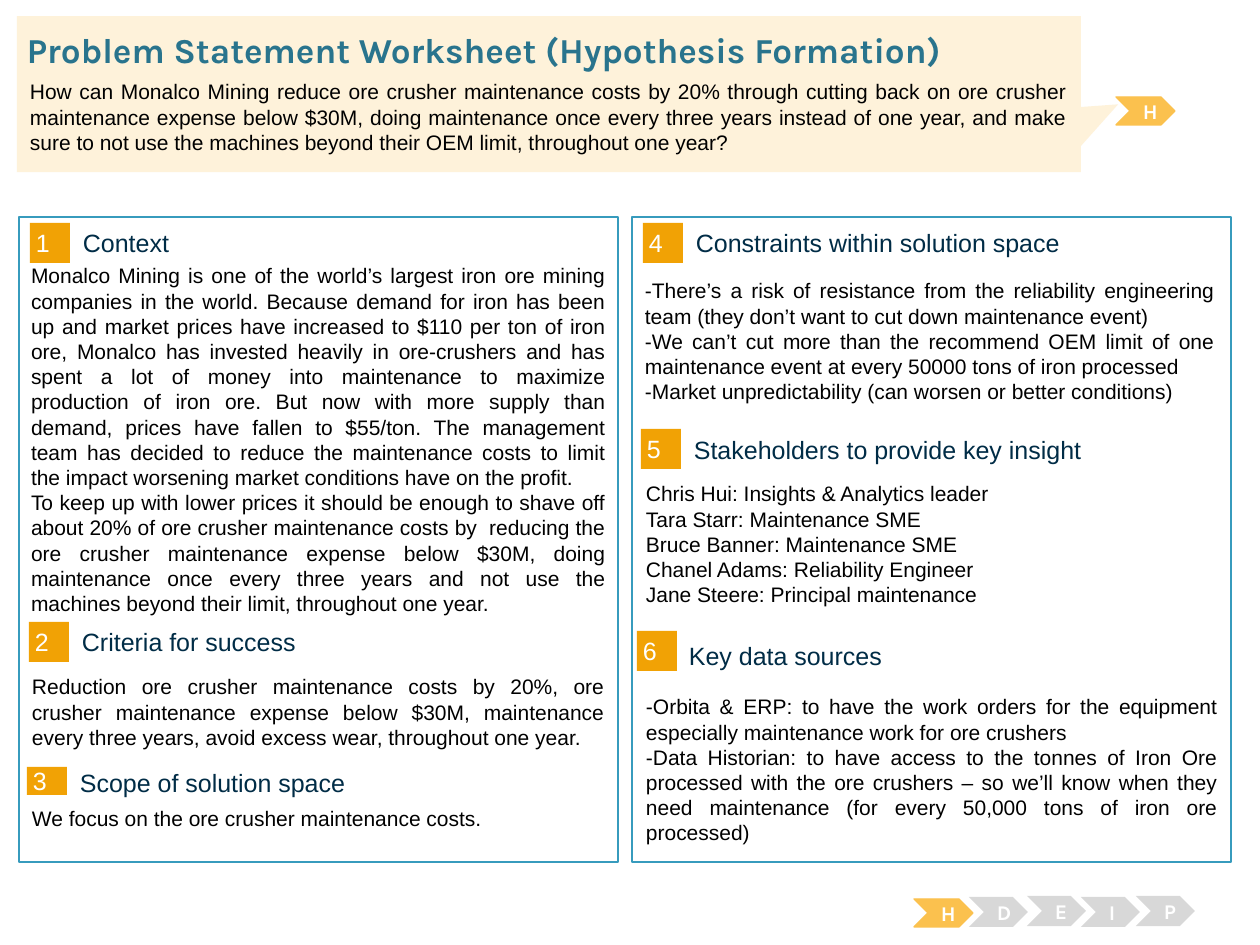
import pptx
import pptx.util
import pptx.dml.color
import pptx.enum.shapes
import pptx.enum.text
from dataclasses import dataclass

PX = 914400 // 126  # EMU per px


@dataclass(frozen=True)
class Theme:
    body_font: str = "Arial"
    title_font: str = "Karla"
    body: float = 12
    heading: float = 14.3
    title: float = 20
    black: str = "000000"
    white: str = "FFFFFF"
    navy: str = "002C46"
    teal: str = "29748D"
    frame: str = "379BBD"
    orange: str = "F1A205"
    amber: str = "FBC14E"
    grey: str = "D8D8D8"
    cream: str = "FEF2DA"


T = Theme()
RGB = pptx.dml.color.RGBColor.from_string
SHAPE = pptx.enum.shapes.MSO_SHAPE
ALIGN = pptx.enum.text.PP_ALIGN
ANCHOR = pptx.enum.text.MSO_ANCHOR

prs = pptx.Presentation()
prs.slide_width, prs.slide_height = 1260 * PX, 945 * PX
s = prs.slides.add_slide(prs.slide_layouts[6])


def add_box(kind, box, fill, line=None, width=0.75):
    sp = s.shapes.add_shape(kind, *[v * PX for v in box])
    sp.shadow.inherit = False
    sp.fill.solid()
    sp.fill.fore_color.rgb = RGB(fill)
    if line:
        sp.line.color.rgb = RGB(line)
        sp.line.width = pptx.util.Pt(width)
    else:
        sp.line.fill.background()
    return sp


def write(target, text, size, color, inset=(13, 6), align=ALIGN.LEFT,
          anchor=ANCHOR.MIDDLE, font=T.body_font, bold=False):
    """Put text in a shape, or in a new text box when target is a box."""
    if isinstance(target, tuple):
        target = s.shapes.add_textbox(*[v * PX for v in target])
    tf = target.text_frame
    tf.word_wrap = True
    tf.margin_left = tf.margin_right = inset[0] * PX
    tf.margin_top = tf.margin_bottom = inset[1] * PX
    tf.vertical_anchor = anchor
    tf.text = text
    for p in tf.paragraphs:
        p.alignment = align
        for r in p.runs:
            r.font.name, r.font.size, r.font.bold = font, pptx.util.Pt(size), bold
            r.font.color.rgb = RGB(color)


# Two framed columns
for left in (19, 632):
    add_box(SHAPE.RECTANGLE, (left, 217, 599, 645), T.white, T.frame, 1.5)

# Numbered sections: badge box, heading box, heading, body box, alignment, body
sections = [
    ((30, 223, 40, 40), (83, 227, 495, 32), "Context",
     (18, 257, 601, 359), ALIGN.JUSTIFY,
     "Monalco Mining is one of the world’s largest iron ore mining companies in the world. "
     "Because demand for iron has been up and market prices have increased to $110 per ton of "
     "iron ore, Monalco has invested heavily in ore-crushers and has spent a lot of money into "
     "maintenance to maximize production of iron ore. But now with more supply than demand, "
     "prices have fallen to $55/ton. The management team has decided to reduce the maintenance "
     "costs to limit the impact worsening market conditions have on the profit.\n"
     "To keep up with lower prices it should be enough to shave off about 20% of ore crusher "
     "maintenance costs by  reducing the ore crusher maintenance expense below $30M, doing "
     "maintenance once every three years and not use the machines beyond their limit, "
     "throughout one year."),
    ((29, 622, 40, 40), (82, 626, 495, 32), "Criteria for success",
     (19, 668, 599, 88), ALIGN.JUSTIFY,
     "Reduction ore crusher maintenance costs by 20%, ore crusher maintenance expense below "
     "$30M, maintenance every three years, avoid excess wear, throughout one year."),
    ((27, 767, 40, 28), (80, 772, 495, 22), "Scope of solution space",
     (19, 800, 597, 55), ALIGN.LEFT,
     "We focus on the ore crusher maintenance costs."),
    ((643, 223, 40, 40), (696, 227, 495, 32), "Constraints within solution space",
     (632, 272, 596, 155), ALIGN.JUSTIFY,
     "-There’s a risk of resistance from the reliability engineering team (they don’t want to "
     "cut down maintenance event)\n"
     "-We can’t cut more than the recommend OEM limit of one maintenance event at every 50000 "
     "tons of iron processed\n"
     "-Market unpredictability (can worsen or better conditions)"),
    ((641, 429, 40, 40), (694, 433, 495, 32), "Stakeholders to provide key insight",
     (633, 475, 596, 179), ALIGN.LEFT,
     "Chris Hui: Insights & Analytics leader\n"
     "Tara Starr: Maintenance SME\n"
     "Bruce Banner: Maintenance SME\n"
     "Chanel Adams: Reliability Engineer\n"
     "Jane Steere: Principal maintenance"),
    ((637, 631, 40, 40), (689, 630, 495, 52), "Key data sources",
     (633, 688, 598, 164), ALIGN.JUSTIFY,
     "-Orbita & ERP: to have the work orders for the equipment especially maintenance work for "
     "ore crushers\n"
     "-Data Historian: to have access to the tonnes of Iron Ore processed with the ore crushers "
     "– so we’ll know when they need maintenance (for every 50,000 tons of iron ore processed)"),
]
for number, (badge, heading_box, heading, body_box, align, body) in enumerate(sections, 1):
    write(add_box(SHAPE.RECTANGLE, badge, T.orange), str(number), T.heading, T.white, (6, 6))
    write(heading_box, heading, T.heading, T.navy, (0, 0))
    write(body_box, body, T.body, T.black, align=align, anchor=ANCHOR.TOP)

# Stage chevrons: the current stage is amber, the others grey
chevrons = [
    ("H", (914, 899, 59, 28), True),
    ("D", (969, 897, 59, 30), False),
    ("E", (1027, 896, 59, 30), False),
    ("I", (1081, 897, 59, 30), False),
    ("P", (1136, 896, 59, 30), False),
    ("H", (1116, 97, 59, 28), True),
]
for letter, box, current in chevrons:
    fill = T.amber if current else T.grey
    sp = add_box(SHAPE.CHEVRON, box, fill, T.amber if current else None)
    write(sp, letter, T.body, T.white, align=ALIGN.CENTER, font=T.title_font, bold=True)

# Problem statement callout
callout = add_box(SHAPE.RECTANGULAR_CALLOUT, (17, 16, 1064, 156), T.cream)
callout.adjustments[0], callout.adjustments[1] = 0.535, 0.066
write((27, 28, 1212, 43), "Problem Statement Worksheet (Hypothesis Formation)",
      T.title, T.teal, (0, 0), font=T.title_font, bold=True)
write((17, 73, 1064, 101),
      "How can Monalco Mining reduce ore crusher maintenance costs by 20% through cutting back on "
      "ore crusher maintenance expense below $30M, doing maintenance once every three years "
      "instead of one year, and make sure to not use the machines beyond their OEM limit, "
      "throughout one year?",
      T.body, T.black, align=ALIGN.JUSTIFY, anchor=ANCHOR.TOP)

prs.save("out.pptx")
